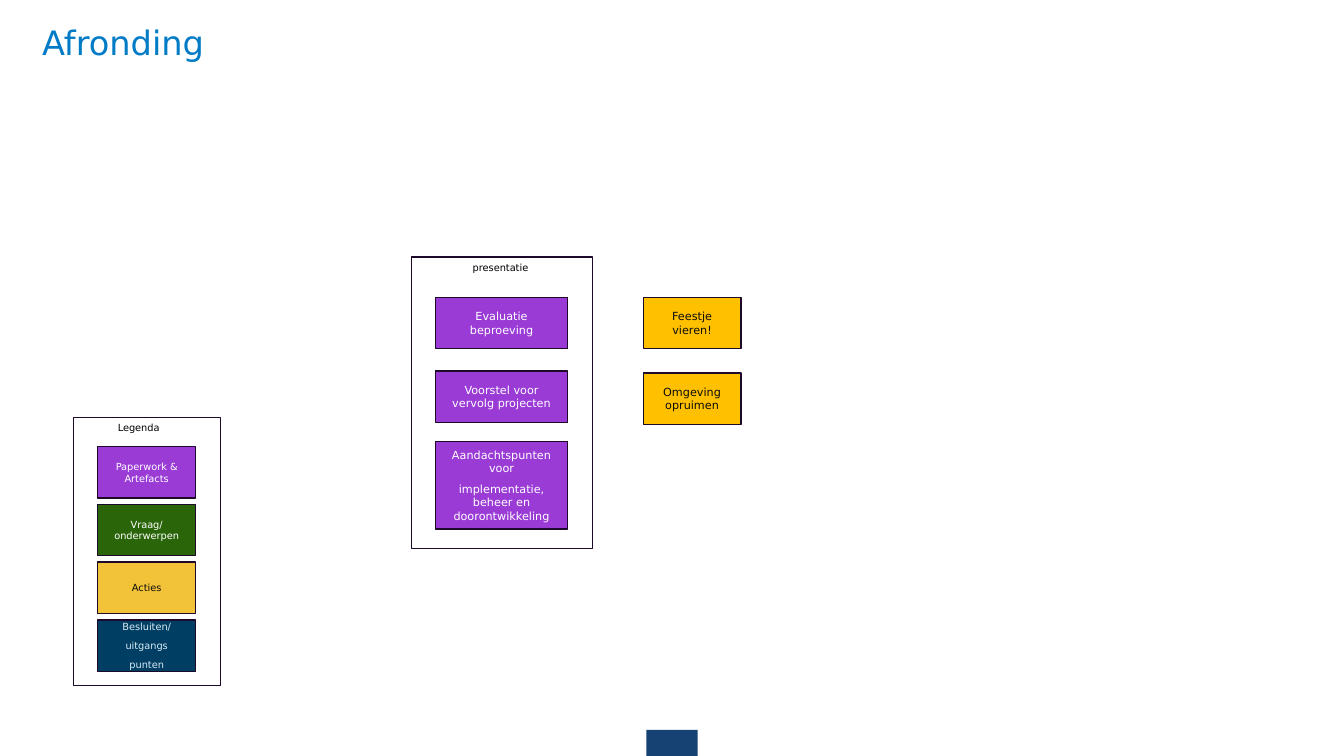
from dataclasses import dataclass

from pptx import Presentation
from pptx.dml.color import RGBColor
from pptx.enum.shapes import MSO_SHAPE as SHAPE
from pptx.enum.text import MSO_ANCHOR as ANCHOR, PP_ALIGN as ALIGN
from pptx.util import Inches, Pt


@dataclass(frozen=True)
class Theme:
    font: str = "DejaVu Sans"
    title: str = "017BC6"
    footer: str = "154273"
    outline: str = "1D092A"
    purple: str = "9A3BD6"
    green: str = "2A650A"
    amber: str = "FFC000"
    sand: str = "F2C239"
    navy: str = "003E63"
    white: str = "FFFFFF"
    pale: str = "D9EBF6"
    dark: str = "0D0D0D"
    black: str = "000000"
    title_size: int = 24
    box_size: int = 8
    small_size: int = 7


T = Theme()


def write(tf, lines, size, color, align=ALIGN.LEFT):
    for i, line in enumerate(lines):
        p = tf.paragraphs[0] if i == 0 else tf.add_paragraph()
        p.text = line
        p.alignment = align
        p.space_before = Pt(5 if i else 0)
        p.font.name = T.font
        p.font.size = Pt(size)
        p.font.color.rgb = RGBColor.from_string(color)


def add_rect(s, left, top, width, height, fill=None, line=None):
    sp = s.shapes.add_shape(SHAPE.RECTANGLE, Inches(left), Inches(top),
                            Inches(width), Inches(height))
    sp.shadow.inherit = False
    if fill:
        sp.fill.solid()
        sp.fill.fore_color.rgb = RGBColor.from_string(fill)
    else:
        sp.fill.background()
    if line:
        sp.line.color.rgb = RGBColor.from_string(line)
        sp.line.width = Pt(1)
    else:
        sp.line.fill.background()
    return sp


def add_box(s, left, top, width, height, lines, fill, color, size=T.box_size):
    tf = add_rect(s, left, top, width, height, fill, T.outline).text_frame
    tf.word_wrap = True
    tf.vertical_anchor = ANCHOR.MIDDLE
    write(tf, lines, size, color, ALIGN.CENTER)


def add_label(s, left, top, width, height, text, size, color):
    sp = s.shapes.add_textbox(Inches(left), Inches(top), Inches(width), Inches(height))
    tf = sp.text_frame
    tf.word_wrap = False
    write(tf, [text], size, color)
    return tf


def main():
    prs = Presentation()
    prs.slide_width, prs.slide_height = Inches(13.33), Inches(7.5)
    s = prs.slides.add_slide(prs.slide_layouts[6])

    # Footer block and title
    add_rect(s, 6.41, 7.24, 0.51, 0.26, T.footer)
    title = add_label(s, 0.32, 0.18, 3.69, 0.52, "Afronding", T.title_size, T.title)
    title.vertical_anchor = ANCHOR.MIDDLE
    title.paragraphs[0].line_spacing = 0.9

    # Presentation group
    add_rect(s, 4.08, 2.55, 1.8, 2.89, line=T.outline)
    add_label(s, 4.59, 2.55, 0.75, 0.22, "presentatie", T.small_size, T.black)
    for top, height, lines in [
        (2.95, 0.51, ["Evaluatie beproeving"]),
        (3.68, 0.51, ["Voorstel voor vervolg projecten"]),
        (4.38, 0.87, ["Aandachtspunten voor",
                       "implementatie, beheer en doorontwikkeling"]),
    ]:
        add_box(s, 4.32, top, 1.31, height, lines, T.purple, T.white)

    # Actions
    for i, text in enumerate(["Feestje vieren!", "Omgeving opruimen"]):
        add_box(s, 6.38, 2.95 + 0.75 * i, 0.97, 0.51, [text], T.amber, T.dark)

    # Legend
    add_rect(s, 0.73, 4.14, 1.46, 2.66, line=T.outline)
    add_label(s, 1.07, 4.13, 0.62, 0.22, "Legenda", T.small_size, T.black)
    legend = [
        (["Paperwork & Artefacts"], T.purple, T.white),
        (["Vraag/onderwerpen"], T.green, T.white),
        (["Acties"], T.sand, T.dark),
        (["Besluiten/", "uitgangs", "punten"], T.navy, T.pale),
    ]
    for i, (lines, fill, color) in enumerate(legend):
        add_box(s, 0.97, 4.43 + 1.72 * i / 3, 0.97, 0.51, lines, fill, color,
                T.small_size)

    prs.save("out.pptx")


if __name__ == "__main__":
    main()
